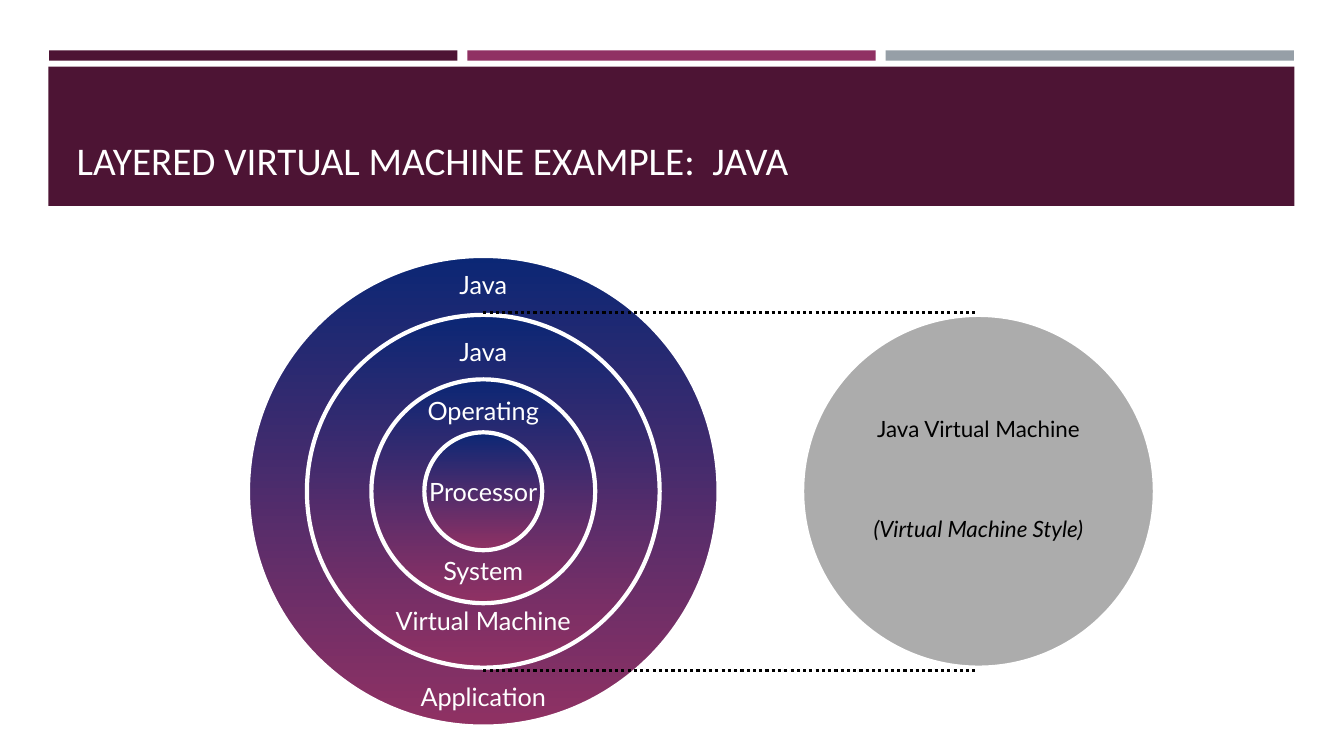
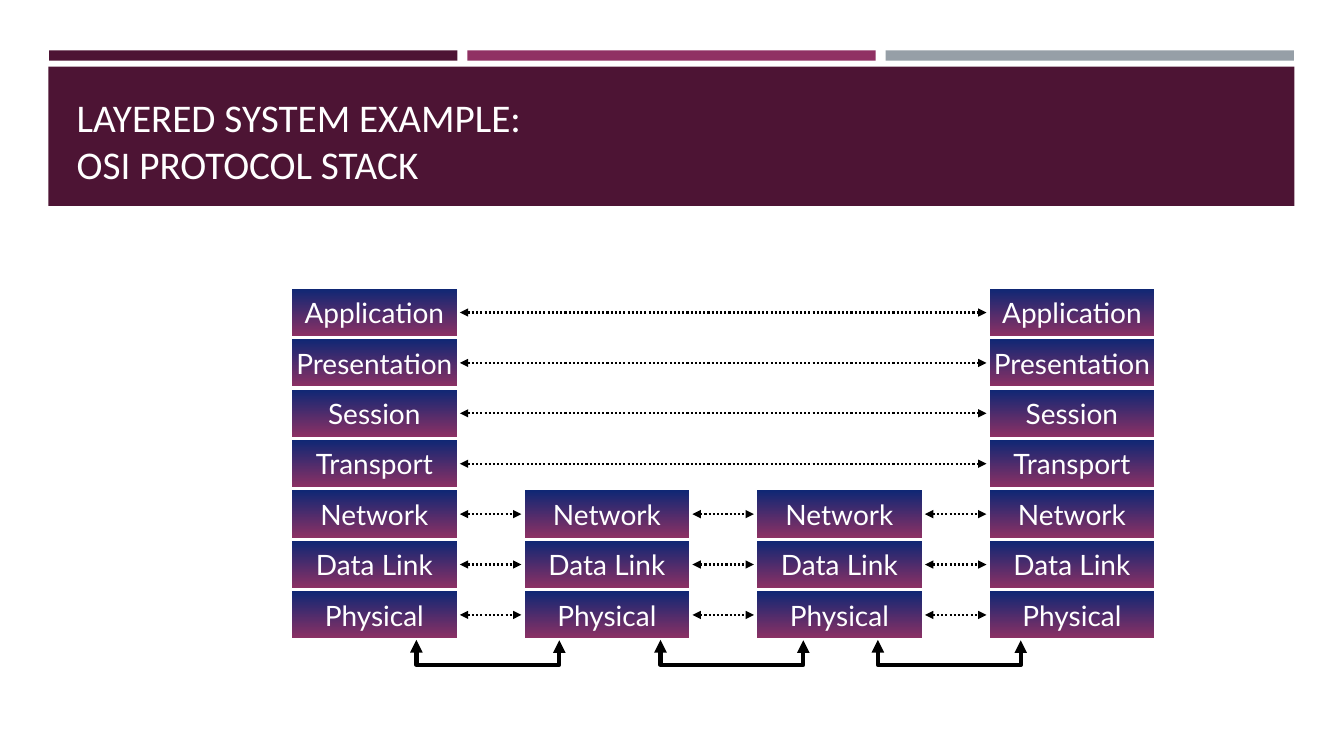
from dataclasses import dataclass
from itertools import pairwise

from lxml import etree
from pptx import Presentation
from pptx.dml.color import RGBColor
from pptx.enum.dml import MSO_LINE
from pptx.enum.shapes import MSO_CONNECTOR, MSO_SHAPE
from pptx.enum.text import MSO_ANCHOR, MSO_AUTO_SIZE, PP_ALIGN
from pptx.oxml.ns import qn
from pptx.util import Cm, Pt

WHITE = RGBColor(0xFF, 0xFF, 0xFF)
BLACK = RGBColor(0x00, 0x00, 0x00)
PLUM = RGBColor(0x4D, 0x14, 0x34)
MAGENTA = RGBColor(0x90, 0x31, 0x63)
SLATE = RGBColor(0x96, 0x9F, 0xA7)
SILVER = RGBColor(0xAC, 0xAC, 0xAC)
NAVY = RGBColor(0x0B, 0x27, 0x75)

RECTANGLE, OVAL = MSO_SHAPE.RECTANGLE, MSO_SHAPE.OVAL
STRAIGHT, ELBOW = MSO_CONNECTOR.STRAIGHT, MSO_CONNECTOR.ELBOW
DOTTED = MSO_LINE.ROUND_DOT
LEFT, CENTER = PP_ALIGN.LEFT, PP_ALIGN.CENTER
TOP, MIDDLE, BOTTOM = MSO_ANCHOR.TOP, MSO_ANCHOR.MIDDLE, MSO_ANCHOR.BOTTOM
NO_AUTOFIT = MSO_AUTO_SIZE.NONE

TITLE_FONT, BODY_FONT = "Calibri", "Lato"
TITLE_ONLY = 5
FIRST_BAND_ID = 100


@dataclass(frozen=True)
class Box:
    """A rectangle in centimetres."""
    left: float
    top: float
    width: float
    height: float

    def lengths(self) -> tuple:
        return Cm(self.left), Cm(self.top), Cm(self.width), Cm(self.height)


@dataclass(frozen=True)
class Label:
    """A line of text centred on a vertical axis."""
    text: str
    top: float
    width: float = 4.24
    height: float = 1.02
    size: float = 18
    color: RGBColor = WHITE
    italic: bool = False


BANDS = [
    *((Box(1.24 + 10.54 * i, 1.27, 10.29, 0.26), color)
      for i, color in enumerate((PLUM, MAGENTA, SLATE))),
    (Box(1.22, 1.68, 31.4, 3.51), PLUM),
]

RINGS_X, MACHINE_X, CIRCLES_Y = 12.18, 24.66, 12.38
MACHINE_DIAMETER = 8.89
RING_DIAMETERS = (11.86, MACHINE_DIAMETER, 5.64)
PROCESSOR_DIAMETER = 2.97
RING_LABELS = (
    Label("Operating", 9.83),
    Label("System", 13.87),
    Label("Java", 8.36),
    Label("Virtual Machine", 15.14, width=5.08),
    Label("Java", 6.65),
    Label("Application", 17.04),
)
MACHINE_LABELS = (
    Label("Java Virtual Machine", 10.34, 6.65, 0.94, 16, BLACK),
    Label("(Virtual Machine Style)", 12.85, 6.48, 0.94, 16, BLACK, italic=True),
)
GUIDES_Y = (7.87, 16.89)

LAYERS = ("Application", "Presentation", "Session", "Transport",
          "Network", "Data Link", "Physical")
RELAY_LAYERS = LAYERS[4:]
STACKS = (LAYERS, RELAY_LAYERS, RELAY_LAYERS, LAYERS)
STACK_LEFT, STACK_TOP, STACK_STEP = 7.32, 7.24, 5.86
LAYER_WIDTH, LAYER_HEIGHT = 4.23, 1.27
ARROW_GAP = 0.04
WIRE_STARTS = (10.49, 16.64, 22.12)
WIRE_Y, WIRE_SPAN, WIRE_DEPTH = 16.13, 3.6, 0.63
WIRE_THICKNESS = 0.01


def write(holder, text: str, *, size: float, font: str = BODY_FONT,
          color: RGBColor = WHITE, italic: bool = False, align=CENTER,
          anchor=TOP, wrap: bool = True) -> None:
    """Fill a shape with one paragraph, breaking its lines at newlines."""
    frame = holder.text_frame
    frame.word_wrap = wrap
    frame.vertical_anchor = anchor
    paragraph = frame.paragraphs[0]
    paragraph.alignment = align
    for number, line in enumerate(text.splitlines()):
        if number:
            paragraph.add_line_break()
        run = paragraph.add_run()
        run.text = line
        run.font.name = font
        run.font.size = Pt(size)
        run.font.italic = italic
        run.font.color.rgb = color


def add_filled(shapes, kind, box: Box, fill: RGBColor | None = None,
               outline: float = 0):
    """Add a shape with a white outline; without a fill it gets the gradient."""
    shape = shapes.add_shape(kind, *box.lengths())
    shape.shadow.inherit = False
    if fill is None:
        shape.fill.gradient()
        shape.fill.gradient_angle = 270
        for stop, color in zip(shape.fill.gradient_stops, (NAVY, MAGENTA)):
            stop.color.rgb = color
    else:
        shape.fill.solid()
        shape.fill.fore_color.rgb = fill
    if outline:
        shape.line.color.rgb = WHITE
        shape.line.width = Pt(outline)
    else:
        shape.line.fill.background()
    return shape


def add_circle(shapes, center_x: float, diameter: float,
               fill: RGBColor | None = None):
    box = Box(center_x - diameter / 2, CIRCLES_Y - diameter / 2,
              diameter, diameter)
    return add_filled(shapes, OVAL, box, fill, outline=3)


def add_label(shapes, label: Label, center_x: float) -> None:
    box = Box(center_x - label.width / 2, label.top, label.width, label.height)
    write(shapes.add_textbox(*box.lengths()), label.text, size=label.size,
          color=label.color, italic=label.italic)


def add_line(shapes, start: tuple[float, float], end: tuple[float, float],
             width: float, *, kind=STRAIGHT, dash=None, arrows: bool = False):
    line = shapes.add_connector(kind, *map(Cm, start + end))
    line.line.color.rgb = BLACK
    line.line.width = Pt(width)
    if dash is not None:
        line.line.dash_style = dash
    properties = line.element.spPr
    if arrows:
        for tag in ("a:headEnd", "a:tailEnd"):
            etree.SubElement(properties.find(qn("a:ln")), qn(tag),
                             type="triangle")
    etree.SubElement(properties, qn("a:effectLst"))
    return line


def add_wire(shapes, left: float) -> None:
    """Add a U-shaped arrow: a thin elbow turned upright, bent far outside."""
    center = left + WIRE_SPAN / 2
    wire = add_line(shapes,
                    (center + WIRE_THICKNESS, WIRE_Y - WIRE_SPAN / 2),
                    (center, WIRE_Y + WIRE_SPAN / 2),
                    3, kind=ELBOW, arrows=True)
    properties = wire.element.spPr
    properties.find(qn("a:xfrm")).set("rot", str(270 * 60000))
    geometry = properties.find(qn("a:prstGeom"))
    adjustments = geometry.find(qn("a:avLst"))
    if adjustments is None:
        adjustments = etree.SubElement(geometry, qn("a:avLst"))
    bend = round(WIRE_DEPTH / WIRE_THICKNESS * 100000)
    etree.SubElement(adjustments, qn("a:gd"), name="adj1", fmla=f"val {bend}")


def add_bands_to_layout(layout, slide) -> None:
    """Draw the bands on a slide, then move them behind the layout's text."""
    for index, (box, color) in enumerate(BANDS):
        band = add_filled(slide.shapes, RECTANGLE, box, color).element
        band.nvSpPr.cNvPr.set("id", str(FIRST_BAND_ID + index))
        layout.shapes.element.insert(2 + index, band)


def add_titled_slide(deck, title: str, box: Box):
    slide = deck.slides.add_slide(deck.slide_layouts[TITLE_ONLY])
    heading = slide.shapes.title
    heading.left, heading.top, heading.width, heading.height = box.lengths()
    heading.text_frame.auto_size = NO_AUTOFIT
    write(heading, title, size=28, font=TITLE_FONT, align=LEFT, anchor=BOTTOM)
    return slide


def build_virtual_machine(deck):
    slide = add_titled_slide(deck, "LAYERED VIRTUAL MACHINE EXAMPLE:  JAVA",
                             Box(1.68, 2.51, 21, 2.24))
    shapes = slide.shapes
    add_circle(shapes, MACHINE_X, MACHINE_DIAMETER, SILVER)
    for label in MACHINE_LABELS:
        add_label(shapes, label, MACHINE_X)

    rings = shapes.add_group_shape().shapes
    for diameter in RING_DIAMETERS:
        add_circle(rings, RINGS_X, diameter)
    processor = add_circle(rings, RINGS_X, PROCESSOR_DIAMETER)
    write(processor, "Processor", size=18, anchor=MIDDLE, wrap=False)
    for label in RING_LABELS:
        add_label(rings, label, RINGS_X)

    for y in GUIDES_Y:
        add_line(shapes, (RINGS_X, y), (MACHINE_X, y), 2.25, dash=DOTTED)
    return slide


def build_protocol_stack(deck) -> None:
    slide = add_titled_slide(deck, "LAYERED SYSTEM EXAMPLE:\nOSI PROTOCOL STACK",
                             Box(1.68, 1.98, 26.09, 2.87))
    shapes = slide.shapes
    lefts = [STACK_LEFT + STACK_STEP * i for i in range(len(STACKS))]
    tops = {layer: STACK_TOP + LAYER_HEIGHT * i
            for i, layer in enumerate(LAYERS)}

    for left, stack in zip(lefts, STACKS):
        column = shapes.add_group_shape().shapes
        for layer in stack:
            box = Box(left, tops[layer], LAYER_WIDTH, LAYER_HEIGHT)
            write(add_filled(column, RECTANGLE, box, outline=2.25), layer,
                  size=20, anchor=MIDDLE, wrap=False)

    for layer, top in tops.items():
        y = top + LAYER_HEIGHT / 2
        peers = [left for left, stack in zip(lefts, STACKS) if layer in stack]
        for left, right in pairwise(peers):
            add_line(shapes, (left + LAYER_WIDTH + ARROW_GAP, y),
                     (right - ARROW_GAP, y), 1.5, dash=DOTTED, arrows=True)

    for left in WIRE_STARTS:
        add_wire(shapes, left)


def main() -> None:
    deck = Presentation()
    deck.slide_width, deck.slide_height = Cm(33.87), Cm(19.05)
    first_slide = build_virtual_machine(deck)
    add_bands_to_layout(deck.slide_layouts[TITLE_ONLY], first_slide)
    build_protocol_stack(deck)
    deck.save("out.pptx")


if __name__ == "__main__":
    main()
